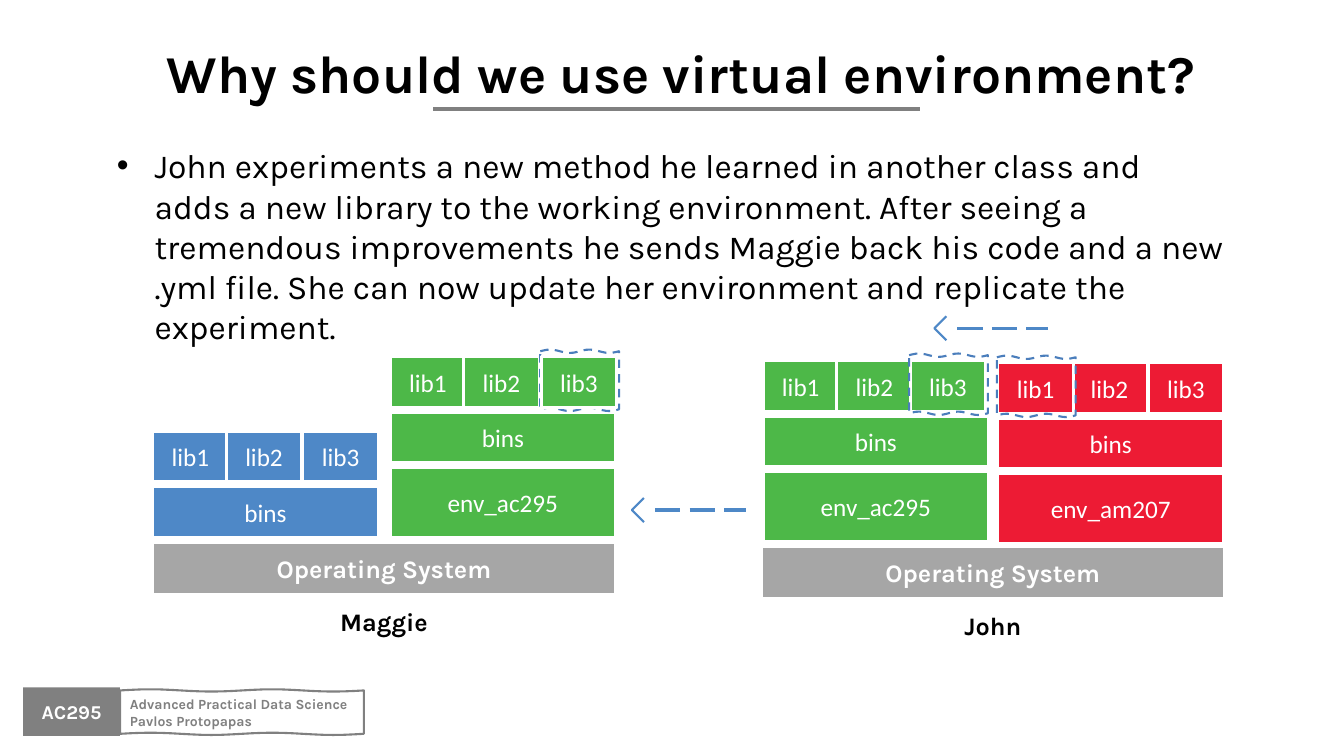
from dataclasses import dataclass
from math import pi, sin
from typing import Optional

from lxml import etree
from pptx import Presentation
from pptx import util as u
from pptx.dml.color import RGBColor
from pptx.enum import dml, shapes, text
from pptx.oxml import ns

Pt = u.Pt


@dataclass(frozen=True)
class Theme:
    black: str = "000000"
    white: str = "FFFFFF"
    gray: str = "808080"
    silver: str = "A6A6A6"
    blue: str = "4E88C7"
    green: str = "4DB848"
    red: str = "ED1B34"
    mark: str = "4B7EBC"
    head: str = "Karla"
    plain: str = "Calibri"
    title: float = 38
    body: float = 24
    label: float = 18
    badge: float = 14
    small: float = 10


@dataclass(frozen=True)
class Box:
    left: float
    top: float
    width: float
    height: float

    def pts(self) -> list:
        return [Pt(v) for v in (self.left, self.top, self.width, self.height)]


@dataclass(frozen=True)
class Host:
    name: str
    left: float
    top: float


@dataclass(frozen=True)
class Stack:
    left: float
    base: float
    color: str
    env: Optional[str] = None
    third: float = 107.3
    marked: Optional[int] = None
    under: bool = False


T = Theme()
ROW, ENV, GAP = 36, 49.7, 3.6
WIDE, LIB, STEP = 161.3, 54, 52.6
CENTER, LEFT = text.PP_ALIGN.CENTER, text.PP_ALIGN.LEFT

deck = Presentation()
deck.slide_width, deck.slide_height = Pt(960), Pt(540)
slide = deck.slides.add_slide(deck.slide_layouts[5])
parts = slide.shapes


def write(frame, lines: list, size: float, color: str, bold: bool = False,
          font: str = T.head, align=CENTER, anchor=text.MSO_ANCHOR.MIDDLE) -> None:
    frame.word_wrap = True
    frame.auto_size = text.MSO_AUTO_SIZE.NONE
    frame.vertical_anchor = anchor
    for i, line in enumerate(lines):
        para = frame.add_paragraph() if i else frame.paragraphs[0]
        para.text, para.alignment = line, align
        face = para.font
        face.name, face.size, face.bold = font, Pt(size), bold
        face.color.rgb = RGBColor.from_string(color)


def stroke(line, color: str, width: float, dash=None) -> None:
    line.color.rgb = RGBColor.from_string(color)
    line.width = Pt(width)
    if dash is not None:
        line.dash_style = dash


def block(box: Box, fill: str, words: str, size: float = T.label,
          bold: bool = False, font: str = T.plain, edge: bool = True) -> None:
    rect = parts.add_shape(shapes.MSO_SHAPE.RECTANGLE, *box.pts())
    rect.shadow.inherit = False
    rect.fill.solid()
    rect.fill.fore_color.rgb = RGBColor.from_string(fill)
    if edge:
        stroke(rect.line, T.white, 2.25)
    else:
        rect.line.fill.background()
    frame = rect.text_frame
    frame.margin_left = frame.margin_right = 0
    write(frame, [words], size, T.white, bold, font)


def label(box: Box, lines: list, size: float, color: str, **style):
    note = parts.add_textbox(*box.pts())
    write(note.text_frame, lines, size, color, **style)
    return note


def outline(dots: list, color: str, width: float, dash=None, close: bool = True) -> None:
    path = [(Pt(x), Pt(y)) for x, y in dots]
    pen = parts.build_freeform(*path[0], scale=1.0)
    pen.add_line_segments(path[1:], close=close)
    form = pen.convert_to_shape()
    form.shadow.inherit = False
    form.fill.background()
    stroke(form.line, color, width, dash)


def wavy(box: Box, swell: float, color: str, dash=None) -> None:
    """Outline a box with gently rippled top and bottom edges."""
    steps = [i / 24 for i in range(25)]
    top = [(box.left + t * box.width, box.top - swell * sin(4 * pi * t)) for t in steps]
    low = [(x, y + box.height) for x, y in reversed(top)]
    outline(top + low, color, 1.5, dash)


def rule(x1: float, x2: float, y: float, color: str, width: float, dash=None) -> None:
    line = parts.add_connector(shapes.MSO_CONNECTOR.STRAIGHT, Pt(x1), Pt(y), Pt(x2), Pt(y))
    stroke(line.line, color, width, dash)
    etree.SubElement(line._element.spPr, ns.qn("a:effectLst"))


def arrow(x: float, y: float) -> None:
    rule(x + 16.5, x + 81.5, y, T.blue, 2.25, dml.MSO_LINE.LONG_DASH)
    outline([(x + 8.6, y - 8.6), (x, y), (x + 8.6, y + 8.6)], T.blue, 1.5, close=False)


def draw_host(host: Host) -> None:
    block(Box(host.left, host.top, 331.2, 37.5), T.silver, "Operating System",
          bold=True, font=T.head)
    label(Box(host.left, host.top + 41.5, 331.2, 30), [host.name], T.label, T.black, bold=True)


def draw_stack(stack: Stack) -> None:
    top = stack.base
    if stack.env:
        top -= ENV
        block(Box(stack.left, top, WIDE, ENV), stack.color, stack.env)
        top -= GAP
    top -= ROW
    block(Box(stack.left, top, WIDE, ROW), stack.color, "bins")
    top -= GAP + ROW
    # The marked library comes last, so its frame stays in view
    for i in sorted(range(3), key=lambda n: n == stack.marked):
        left = stack.left + (0, STEP, stack.third)[i]
        cell = Box(left, top, LIB, ROW)
        ring = Box(left - 0.7, top - 4, 56.2, 41.5)
        if i == stack.marked and stack.under:
            wavy(ring, 1.2, T.mark, dml.MSO_LINE.DASH)
        block(cell, stack.color, f"lib{i + 1}")
        if i == stack.marked and not stack.under:
            wavy(ring, 1.2, T.mark, dml.MSO_LINE.DASH)


# Title and its rule
rule(309.6, 657.4, 77.8, T.gray, 3)
title = parts.title
title.left, title.top, title.width, title.height = Box(91.4, 25, 790.6, 51).pts()
write(title.text_frame, ["Why should we use virtual environment?"], T.title, T.black,
      bold=True, anchor=text.MSO_ANCHOR.TOP)

# Course badge
block(Box(16.6, 491, 69.1, 34.6), T.gray, "AC295", T.badge, True, T.head, edge=False)
wavy(Box(85.7, 493.2, 174.2, 31), 0.8, T.gray)
label(Box(85.7, 493.2, 174.2, 31), ["Advanced Practical Data Science", "Pavlos Protopapas"],
      T.small, T.gray, bold=True, align=LEFT)

# Hosts with their library stacks
for host in (Host("Maggie", 108.7, 387.4), Host("John", 543.6, 390.2)):
    draw_host(host)
for stack in (
    Stack(109, 383.8, T.blue),
    Stack(278.6, 383.8, T.green, "env_ac295", 108, marked=2, under=True),
    Stack(545, 386.6, T.green, "env_ac295", 105.1, marked=2),
    Stack(712.8, 388.1, T.red, "env_am207", marked=0),
):
    draw_stack(stack)

# Arrows from right to left
for tip in ((667.4, 234.5), (451.4, 364.3)):
    arrow(*tip)

# Story
story = label(
    Box(76.3, 100.1, 805.7, 152.6),
    ["John experiments a new method he learned in another class and adds a new library "
     "to the working environment. After seeing a tremendous improvements he sends Maggie "
     "back his code and a new .yml file. She can now update her environment and "
     "replicate the experiment."],
    T.body, T.black, align=LEFT, anchor=text.MSO_ANCHOR.TOP)
props = story.text_frame.paragraphs[0]._p.get_or_add_pPr()
props.set("marL", str(Pt(27)))
props.set("indent", str(-Pt(27)))
etree.SubElement(props, ns.qn("a:buFont"), typeface="Arial")
bullet = etree.Element(ns.qn("a:buChar"), char="•")
props.find(ns.qn("a:buFont")).addnext(bullet)
# Bullet settings precede the default run style
style = props.find(ns.qn("a:defRPr"))
if style is not None:
    props.append(style)

deck.save("out.pptx")
